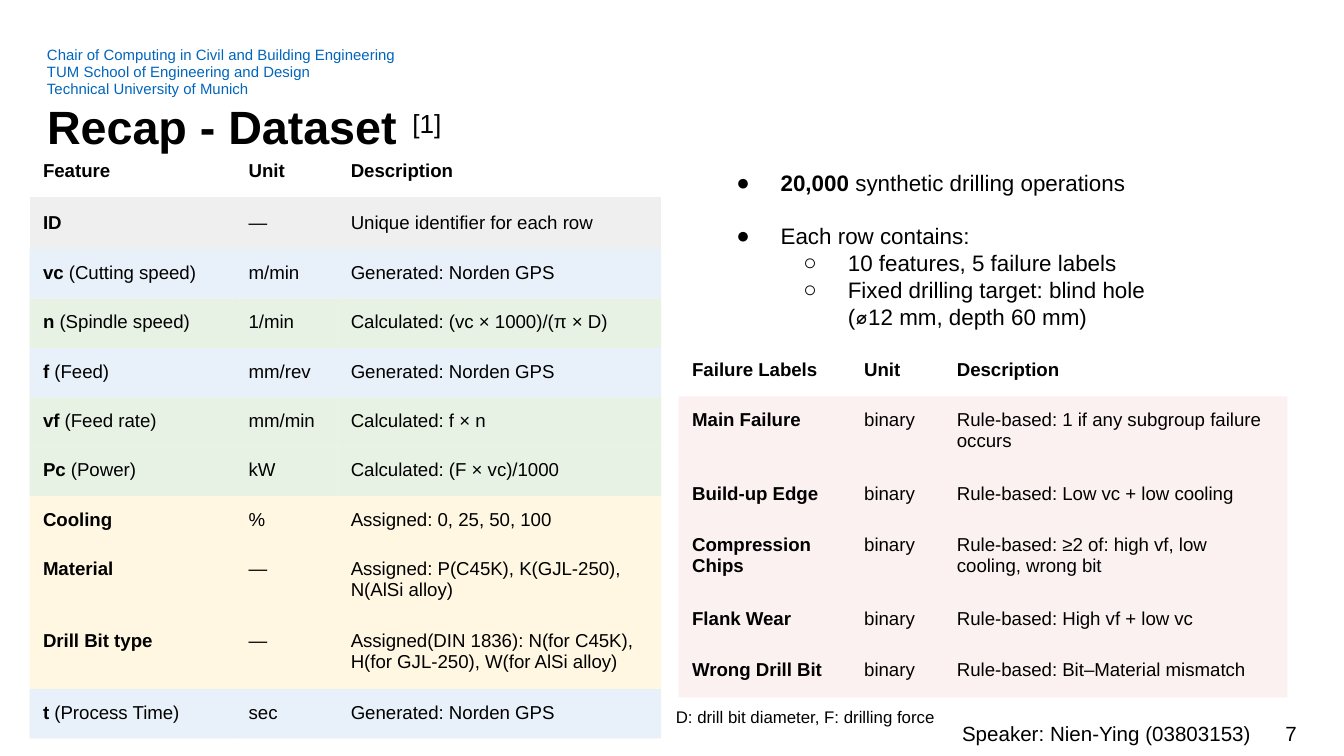
from lxml import etree
from pptx import Presentation
from pptx.dml.color import RGBColor
from pptx.enum.text import MSO_ANCHOR, MSO_AUTO_SIZE, PP_ALIGN
from pptx.oxml.ns import qn
from pptx.util import Inches, Pt

TOP, MIDDLE = MSO_ANCHOR.TOP, MSO_ANCHOR.MIDDLE
LEFT, RIGHT = PP_ALIGN.LEFT, PP_ALIGN.RIGHT
GROW, FIXED = MSO_AUTO_SIZE.SHAPE_TO_FIT_TEXT, MSO_AUTO_SIZE.NONE
FONT = "Arial"
PLAIN_TABLE_STYLE = "{2D5ABB26-0587-4C30-8999-92F81FD0307C}"
COLORS = {
    "text": "000000",
    "chair": "0065BD",
    "identifier": "EFEFEF",
    "generated": "CFE2F3",
    "calculated": "D9EAD3",
    "assigned": "FFF2CC",
    "failure": "F4CCCC",
}
OPACITY = {"identifier": 100, "generated": 48, "calculated": 60, "assigned": 57, "failure": 26}

TABLE_TAIL = ("Unit", "Description")
FEATURES = [
    ("identifier", "ID", "", "—", "Unique identifier for each row"),
    ("generated", "vc", " (Cutting speed)", "m/min", "Generated: Norden GPS"),
    ("calculated", "n", " (Spindle speed)", "1/min", "Calculated: (vc × 1000)/(π × D)"),
    ("generated", "f", " (Feed)", "mm/rev", "Generated: Norden GPS"),
    ("calculated", "vf", " (Feed rate)", "mm/min", "Calculated: f × n"),
    ("calculated", "Pc", " (Power)", "kW", "Calculated: (F × vc)/1000"),
    ("assigned", "Cooling", "", "%", "Assigned: 0, 25, 50, 100"),
    ("assigned", "Material", "", "—", "Assigned: P(C45K), K(GJL-250), N(AlSi alloy)"),
    ("assigned", "Drill Bit type", "", "—",
     "Assigned(DIN 1836): N(for C45K), H(for GJL-250), W(for AlSi alloy)"),
    ("generated", "t", " (Process Time)", "sec", "Generated: Norden GPS"),
]
FAILURES = [
    ("failure", label, "", "binary", "Rule-based: " + rule)
    for label, rule in [
        ("Main Failure", "1 if any subgroup failure occurs"),
        ("Build-up Edge", "Low vc + low cooling"),
        ("Compression Chips", "≥2 of: high vf, low cooling, wrong bit"),
        ("Flank Wear", "High vf + low vc"),
        ("Wrong Drill Bit", "Bit–Material mismatch"),
    ]
]


def add_run(paragraph, text, size, bold=False, color="text"):
    """Append one formatted run to a paragraph."""
    run = paragraph.add_run()
    run.text = text
    run.font.name = FONT
    run.font.size = Pt(size)
    run.font.bold = bold
    run.font.color.rgb = RGBColor.from_string(COLORS[color])


def set_frame(frame, insets, anchor=TOP, auto_size=GROW):
    """Set wrapping, anchor and horizontal and vertical insets of a text frame."""
    frame.word_wrap = True
    frame.auto_size = auto_size
    frame.vertical_anchor = anchor
    frame.margin_left = frame.margin_right = Inches(insets[0])
    frame.margin_top = frame.margin_bottom = Inches(insets[1])


def add_label(slide, box, lines, size, insets=(0.1, 0.1), color="text",
              spacing=None, align=LEFT, anchor=TOP, auto_size=GROW):
    """Add a text box with one paragraph for each line."""
    frame = slide.shapes.add_textbox(*map(Inches, box)).text_frame
    set_frame(frame, insets, anchor, auto_size)
    for index, line in enumerate(lines):
        paragraph = frame.add_paragraph() if index else frame.paragraphs[0]
        paragraph.alignment = align
        paragraph.line_spacing = spacing
        add_run(paragraph, line, size, color=color)


def add_heading(slide, box):
    """Place the chair lines, the title and its citation mark."""
    left, top, width, height = box
    add_label(slide, (left, top, 7.83, 0.38),
              ["Chair of Computing in Civil and Building Engineering",
               "TUM School of Engineering and Design",
               "Technical University of Munich"],
              8, insets=(0, 0), color="chair", spacing=0.94)
    title = slide.shapes.title
    title.left, title.top = Inches(left), Inches(top + 0.26)
    title.width, title.height = Inches(width), Inches(height - 0.26)
    set_frame(title.text_frame, (0, 0))
    paragraph = title.text_frame.paragraphs[0]
    paragraph.alignment = LEFT
    paragraph.line_spacing = 1.28
    add_run(paragraph, "Recap - Dataset", 25, bold=True)
    add_label(slide, (left + 2.62, top + 0.32, 3.28, 0.44), ["[1]"], 14, spacing=1.14)


def fill_cell(cell, kind):
    """Fill a cell with the translucent colour of its kind, or leave it clear."""
    if kind is None:
        cell.fill.background()
        return
    cell.fill.solid()
    cell.fill.fore_color.rgb = RGBColor.from_string(COLORS[kind])
    if OPACITY[kind] < 100:
        color = cell._tc.tcPr.find(".//" + qn("a:srgbClr"))
        etree.SubElement(color, qn("a:alpha"), val=str(OPACITY[kind] * 1000))


def add_data_table(slide, box, name, rows, widths, heights):
    """Add a borderless table whose rows are tinted by kind."""
    frame = slide.shapes.add_table(len(rows) + 1, len(widths), *map(Inches, box))
    table = frame.table
    table.horz_banding = False
    table._tbl.find(".//" + qn("a:tableStyleId")).text = PLAIN_TABLE_STYLE
    for column, width in zip(table.columns, widths):
        column.width = Inches(width)
    for row, height in zip(table.rows, heights):
        row.height = Inches(height)
    header = [[(text, True)] for text in (name, *TABLE_TAIL)]
    body = [
        (kind, [[(term, True), (note, False)], [(unit, False)], [(description, False)]])
        for kind, term, note, unit, description in rows
    ]
    for row, (kind, cells) in zip(table.rows, [(None, header)] + body):
        for cell, runs in zip(row.cells, cells):
            fill_cell(cell, kind)
            cell.margin_left = cell.margin_right = Inches(0.1)
            cell.margin_top = cell.margin_bottom = Inches(0.1)
            paragraph = cell.text_frame.paragraphs[0]
            paragraph.line_spacing = 1.15 if kind in (None, "identifier") else None
            for text, bold in runs:
                if text:
                    add_run(paragraph, text, 10, bold)


def add_bullet(paragraph, level):
    """Give a paragraph the bullet and hanging indent of its level."""
    properties = paragraph._p.get_or_add_pPr()
    properties.set("marL", str(Inches(0.5 * (level + 1))))
    properties.set("indent", str(Inches(-0.33)))
    color = etree.SubElement(properties, qn("a:buClr"))
    etree.SubElement(color, qn("a:srgbClr"), val=COLORS["text"])
    etree.SubElement(properties, qn("a:buFont"), typeface=FONT)
    etree.SubElement(properties, qn("a:buChar"), char="●○"[level])
    paragraph.level = level


def add_summary(slide, box):
    """Add the two-level list that describes the dataset."""
    frame = slide.shapes.add_textbox(*map(Inches, box)).text_frame
    set_frame(frame, (0.1, 0.1), auto_size=FIXED)
    points = [
        (0, 0, [[("20,000", True), (" synthetic drilling operations", False)]]),
        (0, 14, [[("Each row contains:", False)]]),
        (1, 0, [[("10 features, 5 failure labels", False)]]),
        (1, 0, [[("Fixed drilling target: blind hole", False)],
                [("(⌀12 mm, depth 60 mm)", False)]]),
    ]
    for index, (level, gap, lines) in enumerate(points):
        paragraph = frame.add_paragraph() if index else frame.paragraphs[0]
        add_bullet(paragraph, level)
        if gap:
            paragraph.space_before = Pt(gap)
        for number, runs in enumerate(lines):
            if number:
                paragraph.add_line_break()
            for text, bold in runs:
                add_run(paragraph, text, 12, bold)


def add_footer(slide, box):
    """Place the symbol key, the speaker and the page number."""
    left, top, width, height = box
    add_label(slide, (left, top, 3.28, 0.35), ["D: drill bit diameter, F: drilling force"], 9)
    add_label(slide, (left + 2.13, top + 0.09, 2.43, 0.39), ["Speaker: Nien-Ying (03803153)"], 11)
    add_label(slide, (left + width - 2.24, top + height - 0.3, 2.24, 0.3), ["7"], 11,
              insets=(0, 0.05), align=RIGHT, anchor=MIDDLE, auto_size=FIXED)


def main():
    """Build the dataset recap slide."""
    deck = Presentation()
    deck.slide_width = Inches(10)
    deck.slide_height = deck.slide_width * 9 // 16
    slide = deck.slides.add_slide(deck.slide_layouts[5])
    add_heading(slide, (0.35, 0.35, 9.31, 0.68))
    add_data_table(slide, (0.22, 1.07, 4.71, 4.38), "Feature", FEATURES,
                   (1.53, 0.76, 2.41), [0.37] * 2 + [0.35] * 6 + [0.51, 0.49, 0.35])
    add_data_table(slide, (5.05, 2.55, 4.53, 2.64), "Failure Labels", FAILURES,
                   (1.28, 0.69, 2.56), (0.4, 0.55, 0.38, 0.55, 0.38, 0.38))
    add_summary(slide, (5.21, 1.16, 4.31, 1.39))
    add_footer(slide, (4.93, 5.18, 4.72, 0.43))
    deck.save("out.pptx")


if __name__ == "__main__":
    main()
